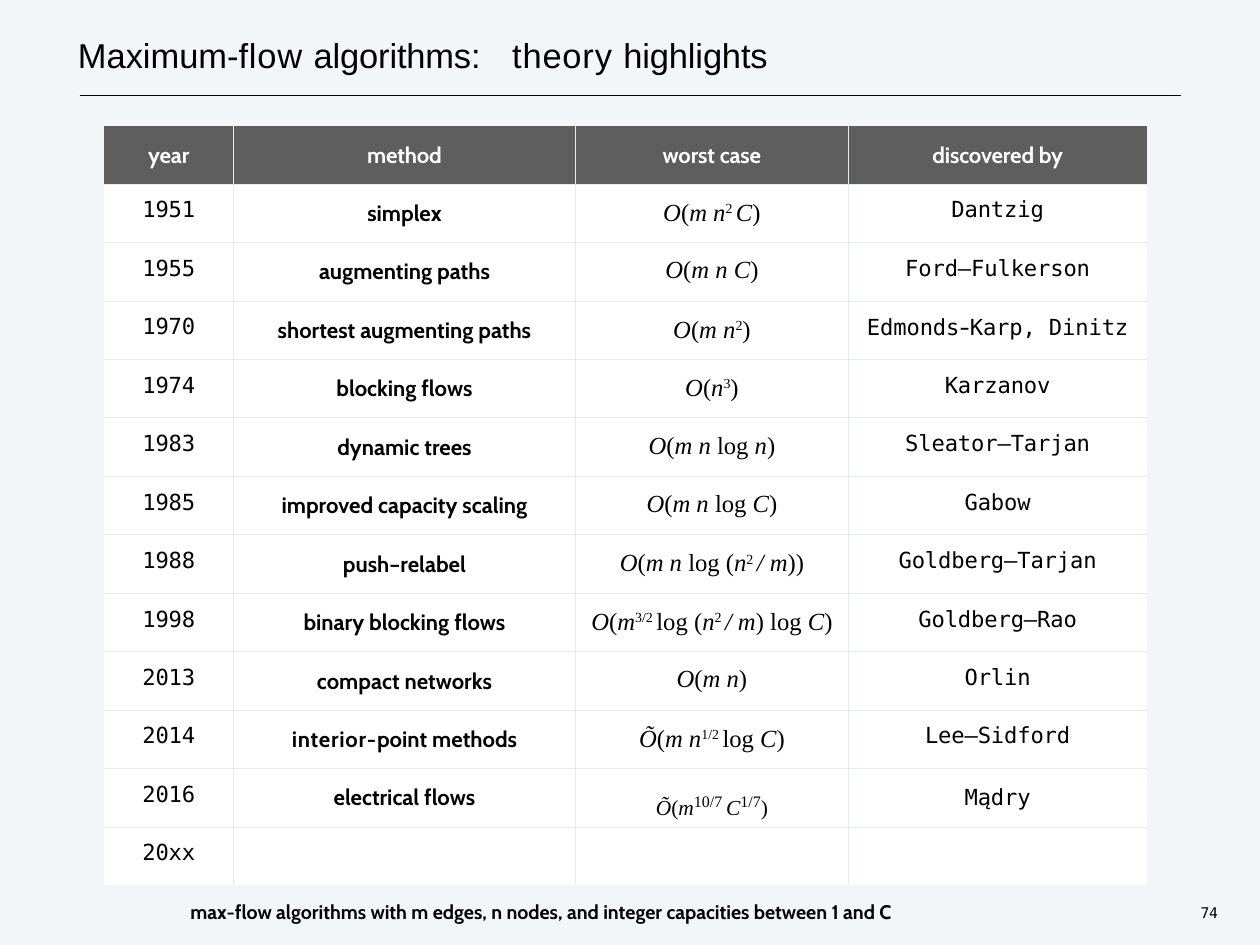
"""Build the slide on the history of maximum-flow algorithms."""
from itertools import groupby

from lxml.etree import SubElement
from pptx import Presentation
from pptx.dml.color import RGBColor
from pptx.enum.shapes import MSO_CONNECTOR as Connector
from pptx.enum.text import MSO_ANCHOR as Anchor, MSO_AUTO_SIZE as AutoSize, PP_ALIGN as Align
from pptx.oxml.ns import qn
from pptx.util import Inches, Pt

MONO, LABEL, MATH = "DejaVu Sans Mono", "Cabin", "Times New Roman"
INK, PAPER, HEADER, GRID, BACKDROP = "000000", "FFFFFF", "5E5E5E", "E7EAEB", "F2F6F9"
NO_STYLE = "{2D5ABB26-0587-4C30-8999-92F81FD0307C}"


def color(value):
    return RGBColor.from_string(value)


def write(paragraph, text, font=LABEL, size=18, ink=INK, bold=False, italic=False, spacing=0, baseline=0):
    run = paragraph.add_run()
    run.text = text
    run.font.name, run.font.size = font, Pt(size)
    run.font.bold, run.font.italic = bold, italic
    run.font.color.rgb = color(ink)
    properties = run._r.get_or_add_rPr()
    if spacing:
        properties.set("spc", str(round(spacing * 100)))
    if baseline:
        properties.set("baseline", str(baseline * 1000))


headings = ["year", "method", "worst case", "discovered by"]
results = [
    ("1951", "simplex", "O(m n|2 |C)", "Dantzig"),
    ("1955", "augmenting paths", "O(m n C)", "Ford–Fulkerson"),
    ("1970", "shortest augmenting paths", "O(m n|2|)",
     [("Edmonds", {}), ("–", {"font": LABEL, "italic": True}), ("Karp, Dinitz", {})]),
    ("1974", "blocking flows", "O(n|3|)", "Karzanov"),
    ("1983", "dynamic trees", "O(m n log n)", "Sleator–Tarjan"),
    ("1985", "improved capacity scaling", "O(m n log C)", "Gabow"),
    ("1988", "push–relabel", "O(m n log (n|2 |/ m))", "Goldberg–Tarjan"),
    ("1998", "binary blocking flows", "O(m|3/2 |log (n|2 |/ m) log C)", "Goldberg–Rao"),
    ("2013", "compact networks", "O(m n)", "Orlin"),
    ("2014", [("interior-", {"spacing": 0.6}), ("point methods", {})],
     "Õ(m n|1/2 |log C)", "Lee–Sidford"),
    ("2016", "electrical flows", "Õ(m|10/7 |C|1/7|)", "Mądry"),
    ("20xx", "", "", ""),
]

deck = Presentation()
deck.slide_width, deck.slide_height = Inches(14.22), Inches(10.67)
slide = deck.slides.add_slide(deck.slide_layouts[5])
slide.background.fill.solid()
slide.background.fill.fore_color.rgb = color(BACKDROP)

heading = slide.shapes.title
heading.left, heading.top, heading.width, heading.height = map(Inches, (0.88, 0.38, 7.84, 0.49))
rule = slide.shapes.add_connector(Connector.STRAIGHT, *map(Inches, (0.9, 1.08, 13.33, 1.08)))
rule.line.color.rgb, rule.line.width = color(INK), Pt(1)
SubElement(rule._element.spPr, qn("a:effectLst"))

caption = slide.shapes.add_textbox(*map(Inches, (2.15, 10.15, 9.74, 0.29)))
page = slide.shapes.add_textbox(*map(Inches, (13.55, 10.2, 0.24, 0.23)))
for box in (heading, caption, page):
    frame = box.text_frame
    frame.margin_left = frame.margin_right = frame.margin_bottom = 0
    frame.margin_top = Inches(0.01)
    frame.word_wrap, frame.auto_size = True, AutoSize.NONE
    frame.vertical_anchor = Anchor.TOP
    frame.paragraphs[0].alignment = Align.LEFT

title_line = heading.text_frame.paragraphs[0]
tabs = SubElement(title_line._p.get_or_add_pPr(), qn("a:tabLst"))
SubElement(tabs, qn("a:tab"), pos=str(Inches(4.9)), algn="l")
for words, spacing in (("Maximum-", 0), ("flow ", 0.7), ("algorithms:\t", -0.1),
                       ("theory ", 0.7), ("highlights", -0.1)):
    write(title_line, words, font="Arial", size=28, spacing=spacing)
write(caption.text_frame.paragraphs[0],
      "max-flow algorithms with m edges, n nodes, and integer capacities between 1 and C",
      size=16, bold=True)
write(page.text_frame.paragraphs[0], "74", font=MONO, size=12, spacing=-0.2)

rows, widths = [headings, *results], (1.47, 3.85, 3.09, 3.36)
last_row, last_column = len(rows) - 1, len(widths) - 1
history = slide.shapes.add_table(len(rows), len(widths), *map(Inches, (1.17, 1.42, 11.77, 8.59))).table
history._tbl.tblPr.find(qn("a:tableStyleId")).text = NO_STYLE
history.first_row = history.horz_banding = False
for column, width in zip(history.columns, widths):
    column.width = Inches(width)

for r, row in enumerate(rows):
    history.rows[r].height = Inches(0.66)
    for c, entry in enumerate(row):
        cell = history.cell(r, c)
        inner_edges = {"lnL": c > 0, "lnR": c < last_column, "lnT": r > 0, "lnB": r < last_row}
        for edge in (name for name, inner in inner_edges.items() if inner):
            border = SubElement(cell._tc.get_or_add_tcPr(), qn("a:" + edge), w=str(Pt(1)))
            SubElement(SubElement(border, qn("a:solidFill")), qn("a:srgbClr"), val=GRID)
        cell.fill.solid()
        cell.fill.fore_color.rgb = color(PAPER if r else HEADER)
        cell.margin_left = cell.margin_right = cell.margin_bottom = 0

        pieces = entry if isinstance(entry, list) else [(entry, {})]
        inset, style = 0.15, {"font": MONO, "spacing": -0.1}
        if r == 0:
            inset, style = 0.18, {"ink": PAPER, "bold": True, "spacing": -0.1}
        elif c == 1:
            inset, style = 0.18, {"bold": True}
        elif c == 2:
            inset, style = (0.17 if "|" in entry else 0.16), {"font": MATH}
            normal, raised = {"size": 20}, {"size": 19.5, "baseline": 32}
            if row[0] == "2016":
                inset, normal, raised = 0.07, {"size": 30, "baseline": -21}, {"size": 13}
            pieces = []
            for i, part in enumerate(entry.split("|")):
                if i % 2:
                    pieces.append((part, raised))
                    continue
                for italic, letters in groupby(part, lambda letter: letter in "OÕmnC/ "):
                    pieces.append(("".join(letters), {**normal, "italic": italic}))
        elif entry == "Mądry":
            inset = 0.18
        cell.margin_top = Inches(inset)
        line = cell.text_frame.paragraphs[0]
        line.alignment = Align.CENTER
        for text, changes in pieces:
            if text:
                write(line, text, **{**style, **changes})

deck.save("out.pptx")
